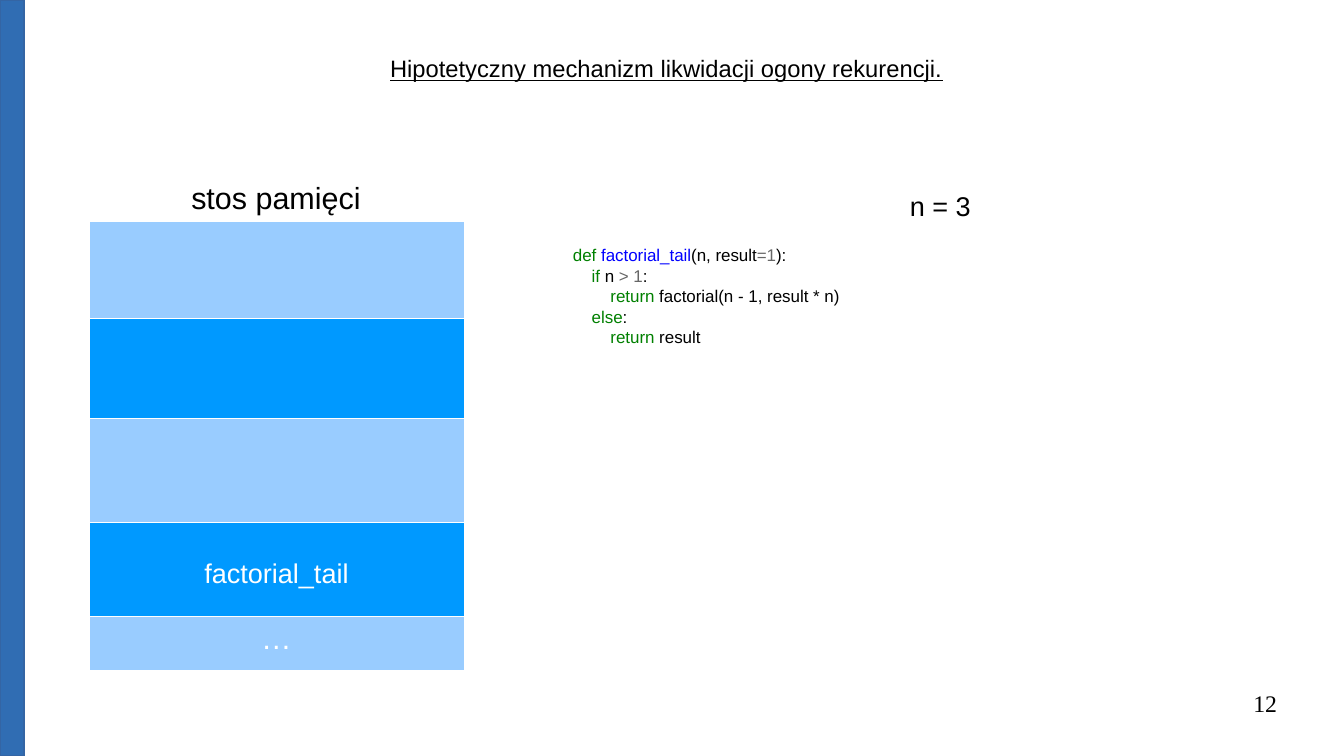
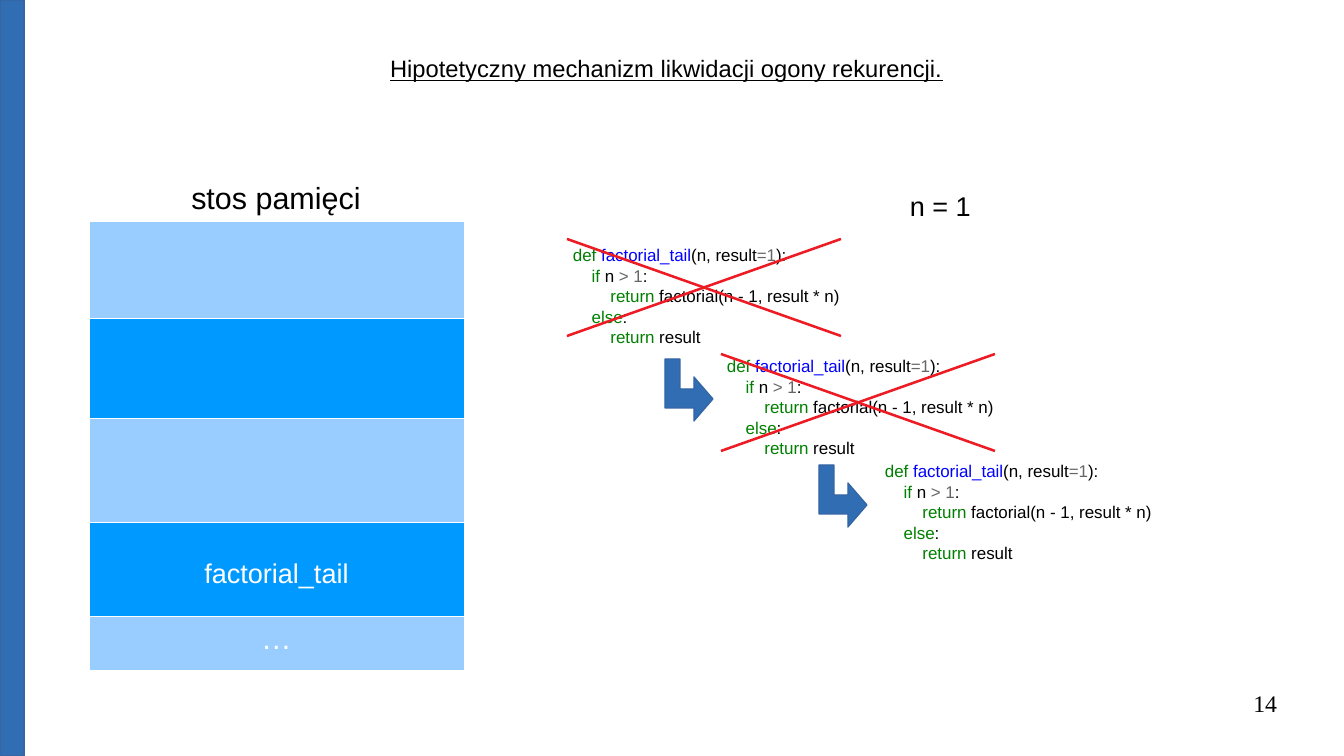
import dataclasses

import pptx
import pptx.dml.color
import pptx.enum.shapes
import pptx.enum.text
import pptx.oxml
import pptx.oxml.ns
import pptx.slide
import pptx.util

RGB = pptx.dml.color.RGBColor
ALIGN = pptx.enum.text.PP_ALIGN

BLACK = RGB(0, 0, 0)
WHITE = RGB(0xFF, 0xFF, 0xFF)
BLUE = RGB(0x30, 0x6D, 0xB3)
EDGE = RGB(0x34, 0x65, 0xA4)
PALE = RGB(0x99, 0xCC, 0xFF)
VIVID = RGB(0x00, 0x99, 0xFF)
RED = RGB(0xED, 0x1C, 0x24)
WORD = RGB(0x00, 0x80, 0x00)
NAME = RGB(0x00, 0x00, 0xFF)
VALUE = RGB(0x66, 0x66, 0x66)

SCALE = 914400 / 122
WIDTH, HEIGHT = 1344, 756
INSET = (12, 6)

CODE = (
    (("def ", WORD), ("factorial_tail", NAME), ("(n, result", BLACK),
     ("=1", VALUE), ("):", BLACK)),
    (("    ", BLACK), ("if", WORD), (" n ", BLACK), ("> 1", VALUE), (":", BLACK)),
    (("        ", BLACK), ("return", WORD), (" factorial(n - 1, result * n)", BLACK)),
    (("    ", BLACK), ("else", WORD), (":", BLACK)),
    (("        ", BLACK), ("return", WORD), (" result", BLACK)),
)
BEND = ((0, 49), (29, 49), (29, 62), (48, 40), (29, 18), (29, 30), (15, 30), (15, 0))


@dataclasses.dataclass(frozen=True)
class Box:
    left: int
    top: int
    width: int
    height: int


@dataclasses.dataclass(frozen=True)
class Label:
    box: Box
    size: int
    align: ALIGN = ALIGN.LEFT
    font: str = "Arial"
    line: bool = False
    inset: tuple[int, int] = INSET


@dataclasses.dataclass(frozen=True)
class Frame:
    """One row of the memory stack."""
    height: int
    fill: RGB
    text: str = ""
    size: int = 18
    top: int = 6


@dataclasses.dataclass(frozen=True)
class Step:
    """The state of the calls on one slide."""
    page: int
    n: int
    calls: tuple[Box, ...]
    bends: tuple[tuple[int, int], ...] = ()
    crosses: tuple[Box, ...] = ()


TITLE = Label(Box(378, 48, 589, 66), 14, line=True)
HEAD = Label(Box(90, 173, 372, 46), 18, ALIGN.CENTER)
STATE = Label(Box(898, 183, 95, 43), 16)
PAGE = Label(Box(964, 689, 313, 52), 14, ALIGN.RIGHT, "Times New Roman", inset=(0, 0))

FRAMES = (
    Frame(97, PALE),
    Frame(100, VIVID),
    Frame(104, PALE),
    Frame(94, VIVID, "factorial_tail", 16, 37),
    Frame(54, PALE, "…"),
)
CALLS = (Box(561, 239, 303, 106), Box(715, 350, 303, 106), Box(873, 455, 303, 106))
STEPS = (
    Step(12, 3, CALLS[:1]),
    Step(14, 1, CALLS, ((665, 359), (819, 465)),
         (Box(567, 239, 274, 97), Box(721, 354, 274, 97))),
)


def px(value: int) -> pptx.util.Emu:
    return pptx.util.Emu(round(value * SCALE))


def place(box: Box) -> tuple[pptx.util.Emu, ...]:
    return tuple(px(v) for v in dataclasses.astuple(box))


def paint(shape) -> None:
    """Give a solid shape its blue fill and hairline edge."""
    shape.shadow.inherit = False
    shape.fill.solid()
    shape.fill.fore_color.rgb = BLUE
    shape.line.color.rgb = EDGE
    shape.line.width = 0


def add_frame(slide: pptx.slide.Slide, box: Box, inset: tuple[int, int]):
    frame = slide.shapes.add_textbox(*place(box)).text_frame
    frame.word_wrap = True
    frame.margin_left = frame.margin_right = px(inset[0])
    frame.margin_top = frame.margin_bottom = px(inset[1])
    return frame


def add_label(slide: pptx.slide.Slide, label: Label, text: str) -> None:
    para = add_frame(slide, label.box, label.inset).paragraphs[0]
    para.text = text
    para.alignment = label.align
    para.font.name = label.font
    para.font.size = pptx.util.Pt(label.size)
    para.font.underline = label.line
    para.font.color.rgb = BLACK


def add_code(slide: pptx.slide.Slide, box: Box) -> None:
    frame = add_frame(slide, box, INSET)
    for i, line in enumerate(CODE):
        para = frame.add_paragraph() if i else frame.paragraphs[0]
        para.font.name = "Arial"
        para.font.size = pptx.util.Pt(10)
        for text, color in line:
            run = para.add_run()
            run.text = text
            run.font.color.rgb = color


def add_rims(cell) -> None:
    """Draw a white hairline on each side of a cell."""
    props = cell._tc.get_or_add_tcPr()
    for side in "LRTB":
        props.append(pptx.oxml.parse_xml(
            f'<a:ln{side} {pptx.oxml.ns.nsdecls("a")} w="762"><a:solidFill>'
            f'<a:srgbClr val="{WHITE}"/></a:solidFill></a:ln{side}>'))


def add_stack(slide: pptx.slide.Slide) -> None:
    box = Box(89, 221, 375, sum(f.height for f in FRAMES))
    table = slide.shapes.add_table(len(FRAMES), 1, *place(box)).table
    table.first_row = table.horz_banding = False
    for i, frame in enumerate(FRAMES):
        table.rows[i].height = px(frame.height)
        cell = table.cell(i, 0)
        add_rims(cell)
        cell.fill.solid()
        cell.fill.fore_color.rgb = frame.fill
        cell.margin_left = cell.margin_right = px(INSET[0])
        cell.margin_top, cell.margin_bottom = px(frame.top), px(INSET[1])
        para = cell.text_frame.paragraphs[0]
        para.text = frame.text
        para.alignment = ALIGN.CENTER
        para.font.name = "Arial"
        para.font.size = pptx.util.Pt(frame.size)
        para.font.color.rgb = WHITE


def add_bend(slide: pptx.slide.Slide, left: int, top: int) -> None:
    """Draw an arrow that goes down, then right."""
    path = slide.shapes.build_freeform(0, 0, SCALE)
    path.add_line_segments(BEND, close=True)
    paint(path.convert_to_shape(px(left), px(top)))


def add_cross(slide: pptx.slide.Slide, box: Box) -> None:
    low, high = box.top + box.height, box.top
    for start, end in ((high, low), (low, high)):
        line = slide.shapes.add_connector(
            pptx.enum.shapes.MSO_CONNECTOR.STRAIGHT,
            px(box.left), px(start), px(box.left + box.width), px(end))
        line.line.color.rgb = RED
        line.line.width = pptx.util.Pt(1.5)
        line._element.spPr.append(pptx.oxml.parse_xml(
            f'<a:effectLst {pptx.oxml.ns.nsdecls("a")}/>'))


def add_base(slide: pptx.slide.Slide, page: int) -> None:
    """Draw what all slides share."""
    paint(slide.shapes.add_shape(pptx.enum.shapes.MSO_SHAPE.RECTANGLE,
                                 *place(Box(0, 0, 24, HEIGHT))))
    add_label(slide, TITLE, "Hipotetyczny mechanizm likwidacji ogony rekurencji.")
    add_stack(slide)
    add_label(slide, HEAD, "stos pamięci")
    add_label(slide, PAGE, str(page))


def add_step(deck, step: Step) -> None:
    slide = deck.slides.add_slide(deck.slide_layouts[6])
    add_base(slide, step.page)
    add_label(slide, STATE, f"n = {step.n}")
    for box in step.calls:
        add_code(slide, box)
    for left, top in step.bends:
        add_bend(slide, left, top)
    for box in step.crosses:
        add_cross(slide, box)


def main() -> None:
    deck = pptx.Presentation()
    deck.slide_width, deck.slide_height = px(WIDTH), px(HEIGHT)
    for step in STEPS:
        add_step(deck, step)
    deck.save("out.pptx")


if __name__ == "__main__":
    main()
